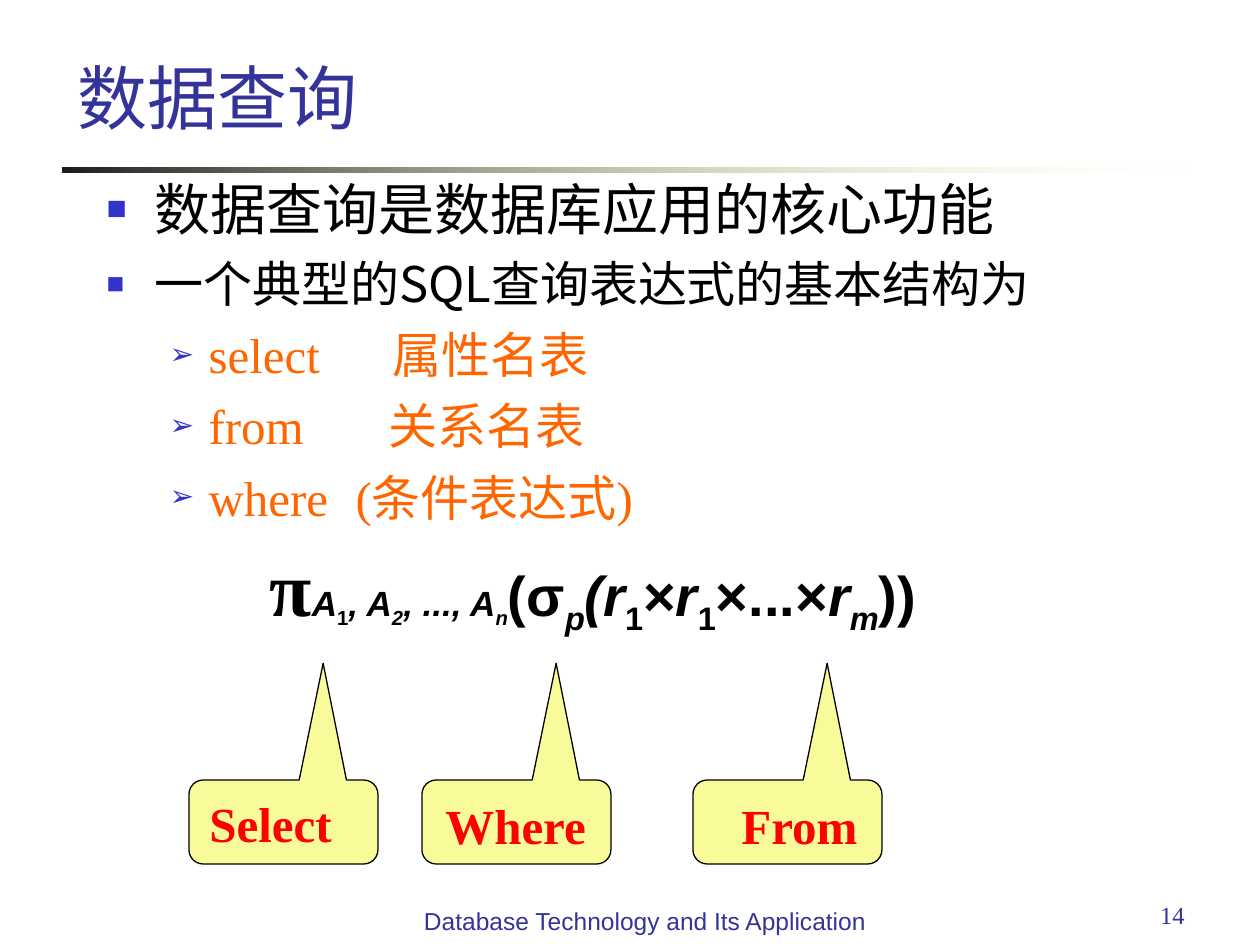
from dataclasses import dataclass

from lxml.etree import SubElement
from pptx import Presentation
from pptx.dml.color import RGBColor
from pptx.enum.shapes import MSO_SHAPE as Shape
from pptx.enum.text import MSO_ANCHOR as Anchor, MSO_AUTO_SIZE as AutoSize, PP_ALIGN as Align
from pptx.oxml.ns import qn
from pptx.util import Emu, Pt

PX_PER_INCH = 126
NAVY = RGBColor(0x33, 0x33, 0x99)
BLUE = RGBColor(0x33, 0x33, 0xCC)
ORANGE = RGBColor(0xFF, 0x66, 0x00)
RED = RGBColor(0xFF, 0x00, 0x00)
BLACK = RGBColor(0x00, 0x00, 0x00)
YELLOW = RGBColor(0xF9, 0xFB, 0x9B)
RULE_DARK = RGBColor(0x1C, 0x1C, 0x1C)
RULE_LIGHT = RGBColor(0xFF, 0xFF, 0xB7)
ARIAL, TIMES, CJK = "Arial", "Times New Roman", "Noto Sans CJK SC"


@dataclass(frozen=True)
class Style:
    size: int
    font: str
    color: RGBColor
    bold: bool = False
    italic: bool = False
    subscript: bool = False


@dataclass(frozen=True)
class Item:
    runs: tuple[tuple[str, Style], ...]
    bullet: str = ""
    level: int = 0
    margin: int = 48
    hanging: int = 48
    before: int = 7
    tab: int = 0
    align: Align = Align.JUSTIFY


@dataclass(frozen=True)
class Callout:
    text: str
    left: int
    label_left: int
    label_top: int
    label_width: int


CLAUSE = Style(28, TIMES, ORANGE)
PI = Style(44, TIMES, BLACK, bold=True)
LABEL = Style(28, TIMES, RED, bold=True)


def small(italic: bool = True, subscript: bool = False) -> Style:
    return Style(20, ARIAL, BLACK, True, italic, subscript)


def large(italic: bool = False, subscript: bool = False) -> Style:
    return Style(32, ARIAL, BLACK, True, italic, subscript)


def clause(tab: int, *runs: tuple[str, Style]) -> Item:
    return Item(runs, "➢", level=1, margin=102, hanging=39, tab=tab)


FORMULA = (
    ("π", PI),
    ("A", small()), ("1", small(False, True)), (", A", small()), ("2", small(True, True)),
    (", ..., A", small()), ("n", small(True, True)),
    ("(σ", large()), ("p", large(True, True)), ("(r", large(True)), ("1", large(False, True)),
    ("×", large()), ("r", large(True)), ("1", large(False, True)),
    ("×...×", large()), ("r", large(True)), ("m", large(True, True)), ("))", large()),
)
ITEMS = (
    Item((("数据查询是数据库应用的核心功能", Style(32, ARIAL, BLACK)),), "■", before=0),
    Item((("一个典型的SQL查询表达式的基本结构为", Style(28, CJK, BLACK)),), "■"),
    clause(286, ("select\t属性名表", CLAUSE)),
    clause(282, ("from\t关系名表", CLAUSE)),
    clause(249, ("where\t(", CLAUSE), ("条件表达式", Style(28, ARIAL, ORANGE)), (")", CLAUSE)),
    Item(FORMULA, margin=163, hanging=0, before=8, align=Align.LEFT),
)
CALLOUTS = (
    Callout("Select", 189, 197, 787, 152),
    Callout("Where", 422, 433, 789, 168),
    Callout("From", 693, 729, 789, 144),
)


def px(length: int) -> Emu:
    return Emu(round(length * 914400 / PX_PER_INCH))


def place(shape, left: int, top: int, width: int, height: int) -> None:
    shape.left, shape.top, shape.width, shape.height = map(px, (left, top, width, height))


def add_run(para, text: str, style: Style) -> None:
    span = para.add_run()
    span.text = text
    font = span.font
    font.size, font.name = Pt(style.size), style.font
    font.bold, font.italic = style.bold, style.italic
    font.color.rgb = style.color
    properties = span._r.get_or_add_rPr()
    SubElement(properties, qn("a:ea")).set("typeface", CJK)
    if style.subscript:
        properties.set("baseline", "-25000")


def set_bullet_and_tab(para, item: Item) -> None:
    properties = para._p.get_or_add_pPr()
    properties.set("marL", str(px(item.margin)))
    properties.set("indent", str(px(-item.hanging)))
    if item.bullet:
        color = SubElement(properties, qn("a:buClr"))
        SubElement(color, qn("a:srgbClr")).set("val", str(BLUE))
        SubElement(properties, qn("a:buSzPct")).set("val", "60000")
        SubElement(properties, qn("a:buChar")).set("char", item.bullet)
    else:
        SubElement(properties, qn("a:buNone"))
    if item.tab:
        stop = SubElement(SubElement(properties, qn("a:tabLst")), qn("a:tab"))
        stop.set("pos", str(px(item.tab)))
        stop.set("algn", "l")


def fill_body(frame, items: tuple[Item, ...]) -> None:
    frame.auto_size = AutoSize.NONE
    for index, item in enumerate(items):
        para = frame.add_paragraph() if index else frame.paragraphs[0]
        para.level, para.alignment = item.level, item.align
        para.space_before = Pt(item.before)
        set_bullet_and_tab(para, item)
        for text, style in item.runs:
            add_run(para, text, style)


def add_text(slide, text: str, style: Style, box: tuple[int, int, int, int],
             align: Align = Align.LEFT, wrap: bool = True):
    text_box = slide.shapes.add_textbox(*map(px, box))
    frame = text_box.text_frame
    frame.word_wrap = wrap
    frame.auto_size = AutoSize.NONE if wrap else AutoSize.SHAPE_TO_FIT_TEXT
    para = frame.paragraphs[0]
    para.alignment = align
    add_run(para, text, style)
    return text_box


def add_rule(slide) -> None:
    rule = slide.shapes.add_shape(Shape.RECTANGLE, px(63), px(168), px(1134), px(5))
    rule.shadow.inherit = False
    rule.line.fill.background()
    rule.fill.gradient()
    rule.fill.gradient_angle = 0
    start, end = rule.fill.gradient_stops
    start.position, end.position = 0, 1
    start.color.rgb, end.color.rgb = RULE_DARK, RULE_LIGHT
    end_color = end._gs.find(qn("a:srgbClr"))
    SubElement(end_color, qn("a:alpha")).set("val", "0")


def add_callout(slide, callout: Callout) -> None:
    bubble = slide.shapes.add_shape(
        Shape.ROUNDED_RECTANGULAR_CALLOUT, px(callout.left), px(780), px(189), px(84))
    bubble.shadow.inherit = False
    bubble.adjustments[0], bubble.adjustments[1], bubble.adjustments[2] = 0.21, -1.89, 0.17
    bubble.fill.solid()
    bubble.fill.fore_color.rgb = YELLOW
    bubble.line.color.rgb = BLACK
    bubble.line.width = Pt(0.75)
    label = add_text(slide, callout.text, LABEL,
                     (callout.label_left, callout.label_top, callout.label_width, 72), wrap=False)
    label.fill.solid()
    label.fill.fore_color.rgb = YELLOW


def main() -> None:
    deck = Presentation()
    deck.slide_width, deck.slide_height = px(1260), px(945)
    slide = deck.slides.add_slide(deck.slide_layouts[1])
    add_rule(slide)

    title, body = slide.placeholders
    place(title, 65, 66, 1026, 79)
    title.text_frame.auto_size = AutoSize.NONE
    title.text_frame.vertical_anchor = Anchor.BOTTOM
    title_para = title.text_frame.paragraphs[0]
    title_para.alignment = Align.LEFT
    add_run(title_para, "数据查询", Style(40, CJK, NAVY))

    place(body, 94, 168, 1081, 714)
    fill_body(body.text_frame, ITEMS)

    for callout in CALLOUTS:
        add_callout(slide, callout)
    add_text(slide, "14", Style(14, TIMES, NAVY), (903, 894, 294, 66), Align.RIGHT)
    add_text(slide, "Database Technology and Its Application", Style(14, ARIAL, NAVY),
             (402, 900, 486, 66), Align.CENTER)
    deck.save("out.pptx")


if __name__ == "__main__":
    main()
